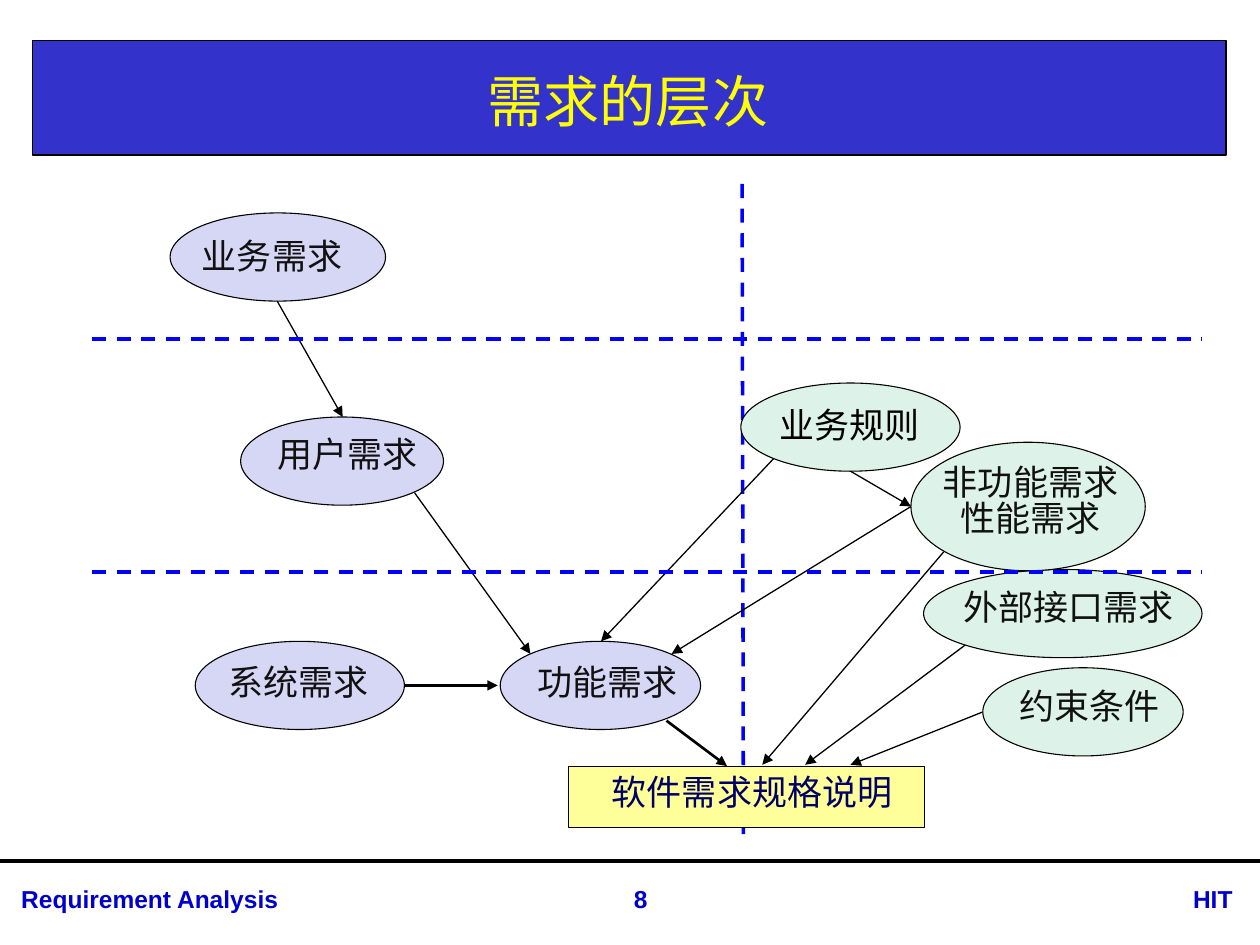
import lxml.etree
import pptx
import pptx.dml.color
import pptx.enum.dml
import pptx.enum.shapes
import pptx.enum.text
import pptx.oxml.ns
import pptx.util

Inches = pptx.util.Inches
Pt = pptx.util.Pt
qn = pptx.oxml.ns.qn
SHAPES = pptx.enum.shapes.MSO_SHAPE
ALIGN = pptx.enum.text.PP_ALIGN
ANCHOR = pptx.enum.text.MSO_ANCHOR

COLORS = {
    "black": "000000",
    "banner": "3333CC",
    "title": "FFFF00",
    "footer": "0000CC",
    "divider": "0000FF",
    "functional": "D6D6F5",
    "other": "DDF3EA",
    "document": "FFFF99",
    "label": "111111",
    "document label": "000066",
}
CJK = "Noto Sans CJK SC"

REQUIREMENTS = [
    ("业务需求", "functional", "label", (1.35, 1.69, 1.71, 0.7), (2.16, 2.03)),
    ("业务规则", "other", "black", (5.88, 3.04, 1.74, 0.7), (6.74, 3.37)),
    ("功能需求", "functional", "label", (3.97, 5.09, 1.59, 0.7), (4.82, 5.41)),
    ("系统需求", "functional", "label", (1.55, 5.09, 1.66, 0.7), (2.37, 5.41)),
    ("软件需求规格说明", "document", "document label", (4.51, 6.08, 2.83, 0.49), (5.97, 6.28)),
    ("外部接口需求", "other", "label", (7.33, 4.52, 2.21, 0.7), (8.48, 4.81)),
    ("用户需求", "functional", "label", (1.91, 3.31, 1.61, 0.7), (2.76, 3.6)),
    ("约束条件", "other", "label", (7.8, 5.3, 1.59, 0.7), (8.65, 5.6)),
    ("非功能需求\n性能需求", "other", "label", (7.23, 3.51, 1.86, 1.02), (8.18, 3.99)),
]

ARROWS = [
    ((3.29, 3.91), (4.21, 5.19), 0.75),
    ((2.2, 2.39), (2.72, 3.31), 0.75),
    ((6.14, 3.64), (4.77, 5.09), 0.75),
    ((6.75, 3.74), (7.23, 4.02), 0.75),
    ((7.23, 4.02), (5.33, 5.19), 0.75),
    ((7.49, 4.38), (6.05, 6.07), 0.75),
    ((7.66, 5.12), (6.39, 6.07), 0.75),
    ((7.8, 5.65), (6.75, 6.07), 0.75),
    ((3.21, 5.44), (3.95, 5.44), 1.5),
    ((5.29, 5.72), (5.77, 6.08), 1.5),
]


def rgb(name):
    return pptx.dml.color.RGBColor.from_string(COLORS[name])


def add_outlined(slide, preset, box, fill, width):
    shape = slide.shapes.add_shape(preset, *map(Inches, box))
    shape.shadow.inherit = False
    shape.fill.solid()
    shape.fill.fore_color.rgb = rgb(fill)
    shape.line.color.rgb = rgb("black")
    shape.line.width = Pt(width)


def add_text(slide, text, box, size, color, font=CJK, bold=False,
             align=ALIGN.CENTER, anchor=ANCHOR.MIDDLE, inset=0, spacing=None):
    frame = slide.shapes.add_textbox(*map(Inches, box)).text_frame
    frame.word_wrap = True
    frame.vertical_anchor = anchor
    frame.margin_left = frame.margin_right = Inches(inset)
    frame.margin_top = frame.margin_bottom = Inches(inset / 2)
    frame.text = text
    for paragraph in frame.paragraphs:
        paragraph.alignment = align
        paragraph.line_spacing = spacing
        for run in paragraph.runs:
            run.font.size = Pt(size)
            run.font.bold = bold
            run.font.color.rgb = rgb(color)
            run.font.name = font
            east_asian = lxml.etree.SubElement(run.font._element, qn("a:ea"))
            east_asian.set("typeface", font)


def add_line(slide, start, end, color, width, dashed=False, arrow=False):
    line = slide.shapes.add_connector(
        pptx.enum.shapes.MSO_CONNECTOR.STRAIGHT, *map(Inches, start + end))
    line.line.color.rgb = rgb(color)
    line.line.width = Pt(width)
    if dashed:
        line.line.dash_style = pptx.enum.dml.MSO_LINE.DASH
    properties = line._element.spPr
    if arrow:
        tail = lxml.etree.SubElement(properties.find(qn("a:ln")), qn("a:tailEnd"))
        tail.set("type", "triangle")
    lxml.etree.SubElement(properties, qn("a:effectLst"))


def add_requirement(slide, label, fill, color, box, center):
    preset = SHAPES.RECTANGLE if fill == "document" else SHAPES.OVAL
    add_outlined(slide, preset, box, fill, 0.63)
    two_lines = "\n" in label
    width, height = 2.6, 0.64 if two_lines else 0.34
    label_box = (center[0] - width / 2, center[1] - height / 2, width, height)
    add_text(slide, label, label_box, 20, color, spacing=0.85 if two_lines else None)


def add_footer(slide):
    add_line(slide, (0, 6.83), (10, 6.83), "black", 2.25)
    for text, left, width, align in [
        ("Requirement Analysis", 0.07, 2.91, ALIGN.LEFT),
        ("HIT", 9.37, 0.69, ALIGN.LEFT),
        ("8", 4.57, 1.03, ALIGN.CENTER),
    ]:
        add_text(slide, text, (left, 6.97, width, 0.34), 14, "footer", font="Arial",
                 bold=True, align=align, anchor=ANCHOR.TOP, inset=0.1)


def main():
    presentation = pptx.Presentation()
    presentation.slide_width = Inches(10)
    presentation.slide_height = Inches(7.5)
    slide = presentation.slides.add_slide(presentation.slide_layouts[6])

    add_outlined(slide, SHAPES.RECTANGLE, (0.26, 0.32, 9.47, 0.91), "banner", 0.75)
    add_footer(slide)
    add_line(slide, (5.89, 1.46), (5.9, 6.62), "divider", 2, dashed=True)
    add_text(slide, "需求的层次", (0.26, 0.36, 9.45, 0.87), 32, "title", inset=0.1)
    for requirement in REQUIREMENTS:
        add_requirement(slide, *requirement)
    for start, end, width in ARROWS:
        add_line(slide, start, end, "black", width, arrow=True)
    for level in (2.69, 4.54):
        add_line(slide, (0.73, level), (9.54, level), "divider", 2, dashed=True)

    presentation.save("out.pptx")


if __name__ == "__main__":
    main()
